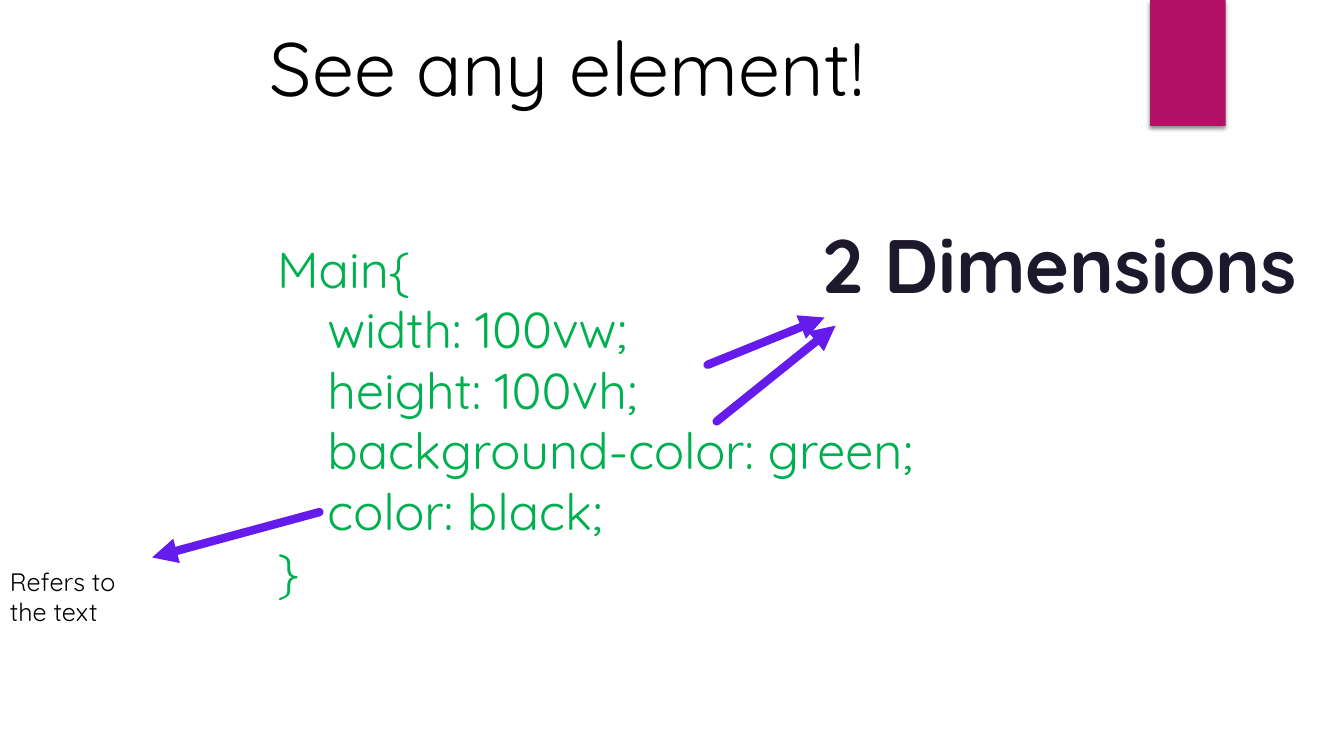
"""Builds the slide on finding any element, with its CSS rule and arrows."""
from dataclasses import dataclass

from lxml import etree
from pptx import Presentation
from pptx import util as u
from pptx.dml.color import RGBColor
from pptx.enum import shapes, text
from pptx.oxml.ns import qn

BLACK = RGBColor(0x00, 0x00, 0x00)
GREEN = RGBColor(0x00, 0xB0, 0x50)
NAVY = RGBColor(0x1D, 0x18, 0x2C)
PINK = RGBColor(0xB3, 0x11, 0x66)
VIOLET = RGBColor(0x65, 0x1B, 0xEB)
FONT = "Quicksand"
LEFT, CENTER = text.PP_ALIGN.LEFT, text.PP_ALIGN.CENTER


@dataclass
class Label:
    lines: list[str]
    box: tuple[float, float, float, float]
    size: int
    color: RGBColor = BLACK
    align: text.PP_ALIGN = LEFT
    wrap: bool = True
    bold: bool = False


@dataclass
class Arrow:
    start: tuple[float, float]
    end: tuple[float, float]


TITLE = Label(["See any element!"], (165.6, 11.5, 478.8, 72.7), 54,
              align=CENTER, wrap=False)
LABELS = [
    Label(["Main{", "\twidth: 100vw;", "\theight: 100vh;",
           "\tbackground-color: green;", "\tcolor: black;", "}"],
          (190.8, 166.3, 519.1, 269.3), 36, GREEN),
    Label(["2 Dimensions"], (577.4, 151.9, 359.3, 72.7), 54, NAVY,
          CENTER, wrap=False, bold=True),
    Label(["Refers to the text"], (0, 401, 103.7, 51.1), 18),
]
ARROWS = [
    Arrow((505.4, 260.6), (589, 226.8)),
    Arrow((511.9, 301), (596.9, 232.6)),
    Arrow((228.2, 365.8), (108.7, 398.2)),
]


def format_all(target, values: dict) -> None:
    for name, value in values.items():
        setattr(target, name, value)


def add_node(parent, tag: str, **values: str):
    return etree.SubElement(parent, qn(tag), values)


def fill_label(shape, label: Label) -> None:
    places = map(u.Pt, label.box)
    format_all(shape, dict(zip(("left", "top", "width", "height"), places)))
    frame = shape.text_frame
    frame.text = "\n".join(label.lines)
    format_all(frame, {
        "word_wrap": label.wrap,
        "auto_size": text.MSO_AUTO_SIZE.NONE,
        "vertical_anchor": text.MSO_ANCHOR.TOP,
    })
    for line in frame.paragraphs:
        if line.text.startswith("\t"):
            tabs = add_node(line._p.get_or_add_pPr(), "a:tabLst")
            add_node(tabs, "a:tab", pos=str(u.Pt(36)), algn="l")
        line.alignment = label.align
        format_all(line.font, {
            "name": FONT, "size": u.Pt(label.size), "bold": label.bold,
        })
        line.font.color.rgb = label.color


def draw_arrow(slide, arrow: Arrow) -> None:
    ends = map(u.Pt, arrow.start + arrow.end)
    line = slide.shapes.add_connector(shapes.MSO_CONNECTOR.STRAIGHT, *ends)
    line.line.color.rgb = VIOLET
    line.line.width = u.Pt(6)
    props = line._element.spPr
    stroke = props.find(qn("a:ln"))
    stroke.set("cap", "rnd")
    add_node(stroke, "a:tailEnd", type="triangle")
    add_node(props, "a:effectLst")


def draw_ribbon(slide) -> None:
    ribbon = slide.shapes.add_shape(
        shapes.MSO_SHAPE.RECTANGLE, *map(u.Pt, (821.5, 0, 54, 90)))
    ribbon.fill.solid()
    ribbon.fill.fore_color.rgb = PINK
    ribbon.line.fill.background()
    ribbon.shadow.inherit = False
    effects = ribbon._element.spPr.find(qn("a:effectLst"))
    shadow = add_node(effects, "a:outerShdw", blurRad=str(u.Pt(3)),
                      dist=str(u.Pt(2)), dir="5400000", rotWithShape="0")
    shade = add_node(shadow, "a:srgbClr", val=str(BLACK))
    add_node(shade, "a:alpha", val="45000")


def main() -> None:
    deck = Presentation()
    format_all(deck, {"slide_width": u.Pt(960), "slide_height": u.Pt(540)})
    slide = deck.slides.add_slide(deck.slide_layouts.get_by_name("Title Only"))
    draw_ribbon(slide)
    fill_label(slide.shapes.title, TITLE)
    for label in LABELS:
        box = slide.shapes.add_textbox(*map(u.Pt, label.box))
        fill_label(box, label)
    for arrow in ARROWS:
        draw_arrow(slide, arrow)
    deck.save("out.pptx")


if __name__ == "__main__":
    main()
